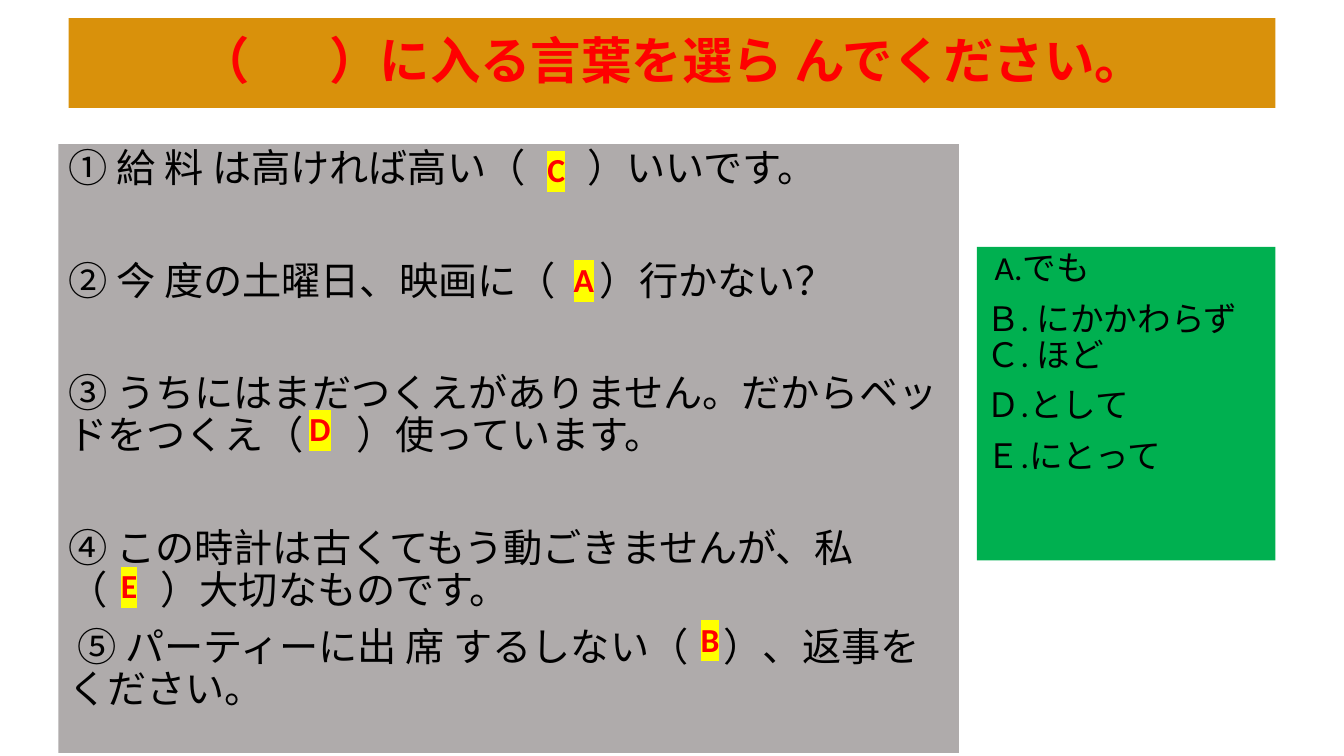
import pptx
import pptx.util
import pptx.dml.color
import pptx.enum.shapes
import pptx.enum.text
import lxml.etree
from pptx.oxml.ns import qn

Inches = pptx.util.Inches
Pt = pptx.util.Pt
RGBColor = pptx.dml.color.RGBColor
Align = pptx.enum.text.PP_ALIGN
Anchor = pptx.enum.text.MSO_ANCHOR

ORANGE = RGBColor(0xD9, 0x91, 0x0B)
GREEN = RGBColor(0x00, 0xB0, 0x50)
GREY = RGBColor(0xAF, 0xAB, 0xAB)
RED = RGBColor(0xFF, 0x00, 0x00)
BLACK = RGBColor(0x00, 0x00, 0x00)
YELLOW = RGBColor(0xFF, 0xFF, 0x00)

SPACE_WIDTH = 0.226  # width of a Calibri space, in ems


class Worksheet:
    font = "Calibri"

    def __init__(self, page):
        self.page = page

    def span(self, para, text, size, color, bold=False, highlight=None):
        span = para.add_run()
        span.text = text
        span.font.size = Pt(size)
        span.font.bold = bold
        span.font.color.rgb = color
        if highlight is not None:
            mark = lxml.etree.SubElement(span.font._element, qn("a:highlight"))
            lxml.etree.SubElement(mark, qn("a:srgbClr"), val=str(highlight))
        span.font.name = self.font
        return span

    def sentence(self, para, parts, size, color, bold=False):
        """Write text parts; a number stands for a blank that many spaces wide."""
        for part in parts:
            if isinstance(part, str):
                self.span(para, part, size, color, bold)
            else:
                gap = self.span(para, " ", size, color, bold)
                extra = (part - 1) * SPACE_WIDTH * size
                gap.font._element.set("spc", str(round(extra * 100)))

    def panel(self, place, fill, lines, size, color=BLACK, bold=False,
              align=Align.LEFT, anchor=Anchor.TOP):
        """Draw a filled box; each line is (space before, text parts)."""
        box = self.page.shapes.add_shape(
            pptx.enum.shapes.MSO_SHAPE.RECTANGLE, *map(Inches, place))
        box.shadow.inherit = False
        box.fill.solid()
        box.fill.fore_color.rgb = fill
        box.line.fill.background()
        frame = box.text_frame
        frame.word_wrap = True
        frame.vertical_anchor = anchor
        for index, (before, parts) in enumerate(lines):
            para = frame.add_paragraph() if index else frame.paragraphs[0]
            para.alignment = align
            para.line_spacing = 0.9
            para.space_before = Pt(before)
            self.sentence(para, parts, size, color, bold)

    def answer(self, letter, left, top):
        box = self.page.shapes.add_textbox(
            Inches(left), Inches(top), Inches(1.08), Inches(0.5))
        box.text_frame.word_wrap = True
        self.span(box.text_frame.paragraphs[0], letter, 24, RED, True, YELLOW)


TITLE = [(0, ["（", 7, "）に入る言葉を選ら んでください。"])]

CHOICES = [
    (0, [" A.でも"]),
    (10, ["Ｂ. にかかわらず Ｃ. ほど"]),
    (10, ["Ｄ.として"]),
    (10, ["Ｅ.にとって"]),
]

QUESTIONS = [
    (0, ["① 給 料 は高ければ高い（", 7, "）いいです。"]),
    (50, ["② 今 度の土曜日、映画に（", 5, "）行かない？"]),
    (50, ["③ うちにはまだつくえがありません。だからベッドをつくえ（", 6, "）使っています。"]),
    (50, ["④ この時計は古くてもう動ごきませんが、私（", 6, "）大切なものです。"]),
    (10, [" ⑤ パーティーに出 席 するしない（", 4, "）、返事をください。"]),
]

ANSWERS = [("A", 5.59, 2.52), ("D", 2.97, 4), ("C", 5.33, 1.43),
           ("E", 1.1, 5.56), ("B", 6.85, 6.09)]


def main():
    deck = pptx.Presentation()
    deck.slide_width, deck.slide_height = Inches(13.33), Inches(7.5)
    sheet = Worksheet(deck.slides.add_slide(deck.slide_layouts[6]))
    sheet.panel((0.68, 0.18, 11.97, 0.89), ORANGE, TITLE, 36, RED, True,
                Align.CENTER, Anchor.MIDDLE)
    sheet.panel((9.69, 2.45, 2.96, 3.11), GREEN, CHOICES, 24)
    sheet.panel((0.58, 1.43, 8.93, 6.04), GREY, QUESTIONS, 28)
    for letter, left, top in ANSWERS:
        sheet.answer(letter, left, top)
    deck.save("out.pptx")


if __name__ == "__main__":
    main()
